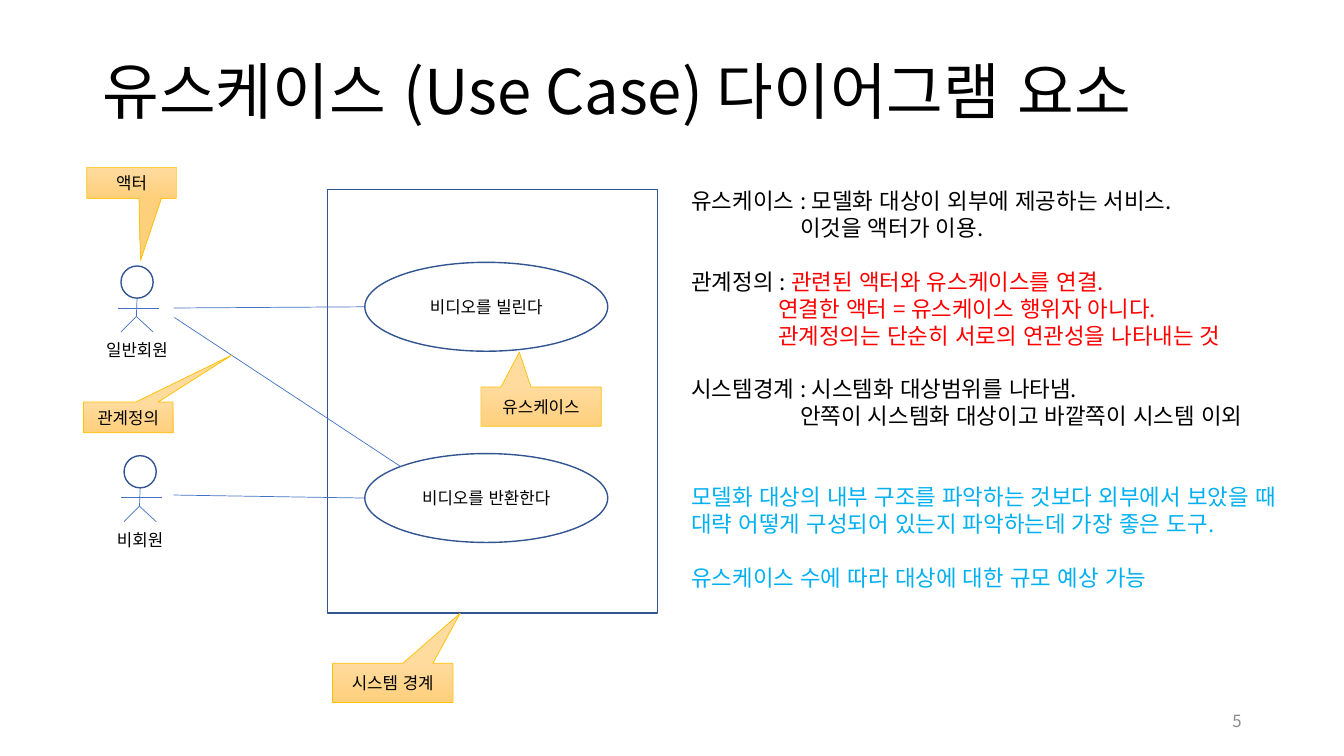
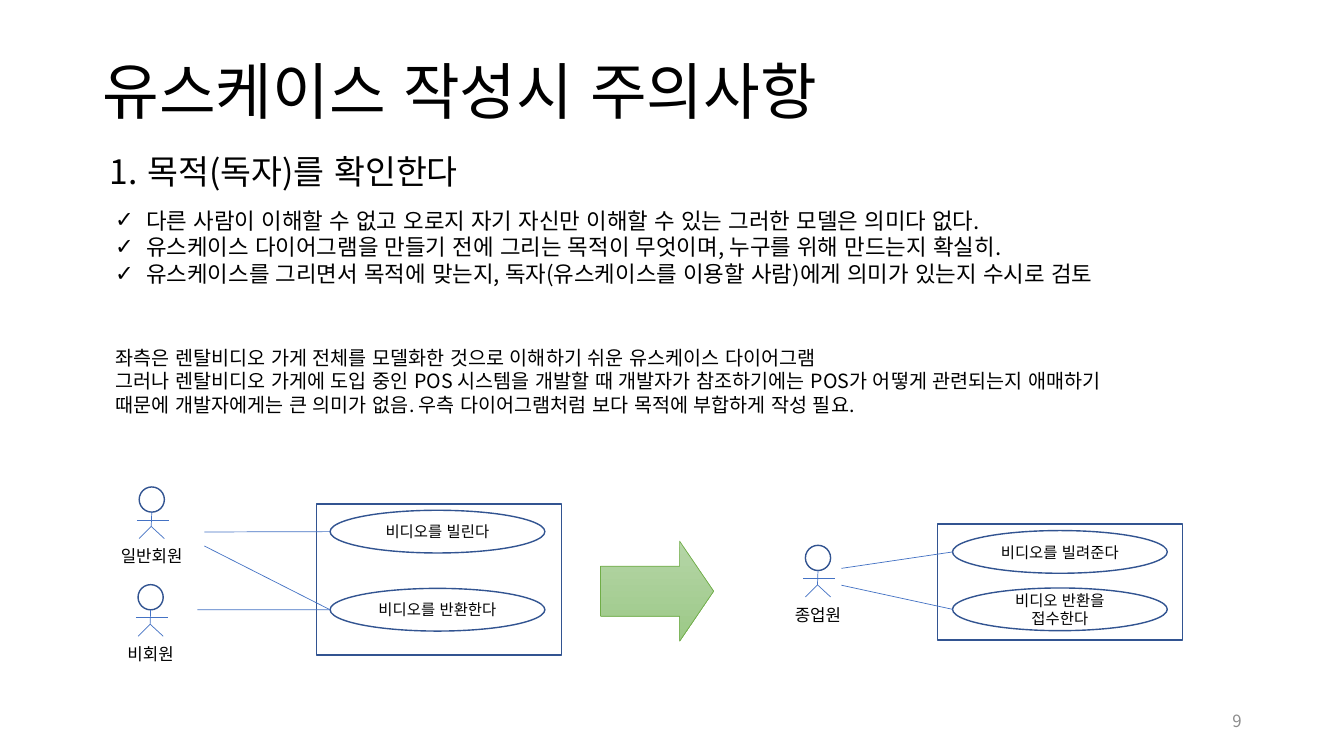
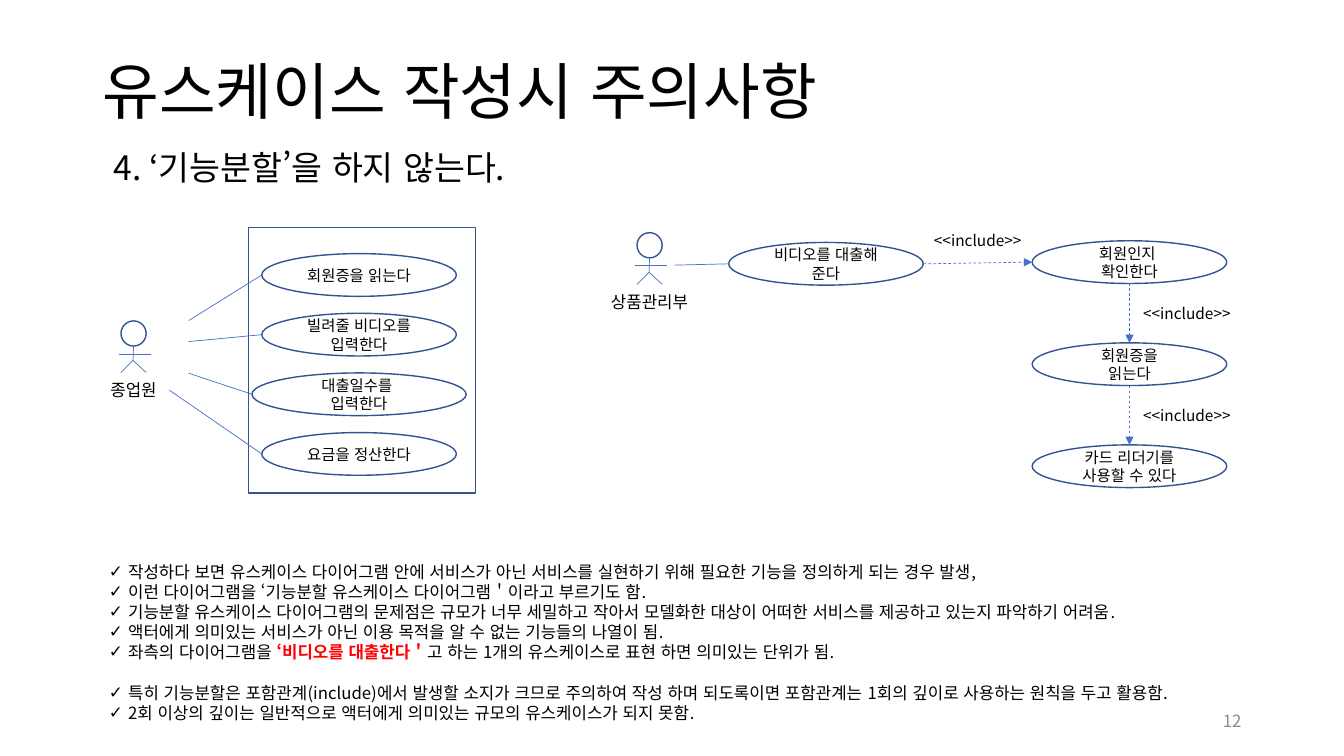
from pptx import Presentation
from pptx.dml.color import RGBColor
from pptx.enum.dml import MSO_LINE as Dash
from pptx.enum.lang import MSO_LANGUAGE_ID as Lang
from pptx.enum.shapes import MSO_CONNECTOR as Conn, MSO_SHAPE as Kind
from pptx.enum.text import MSO_ANCHOR as Anchor, MSO_AUTO_SIZE as Auto, PP_ALIGN as Align
from pptx.oxml.ns import qn
from pptx.util import Pt
from lxml.etree import SubElement

# Shared look
FONT = "Noto Sans CJK KR"
BLACK, RED, SKY, GREY = "000000", "FF0000", "00B0F0", "8C8C8C"
EDGE, LINK = "325491", "4472C4"
AMBER = ("FFDB9E", "FFD07C", "FFC000")
GREEN = ("B5D5A7", "9CC987", "70AD47")
PITCH = 1.2
TITLE = (66, 29, 866, 75.5)
PAGE = (678, 500.5, 216, 29)
# Head width, oval height, oval text size
LARGE, SMALL = (23, 63.5, 12), (18, 30.5, 11)
# Callout sizes
WIDE, SLIM = (86, 28), (64, 22)


def term(name, colour, first, *rest):
    """A defined term: later lines are indented by the length of its name."""
    lines = [([(line, colour)], len(name)) for line in rest]
    return [([(name + " : ", BLACK), (first, colour)], 0)] + lines


# Content. A paragraph is a string or (runs, indent); "" leaves a line of space.
# text: (left, top, width, size, hanging indent, paragraphs), the first is the body
# actors: (name, left, top)         bounds: (left, top, width, height)
# cases: (left, top, step, width, names), a column
# links: (left, top, number of the case, whether it ends at the upper left)
# calls: (text, left, top, size, tip)
CAUTION = "유스케이스 작성시 주의사항"
SLIDES = [
    {
        "title": "유스케이스 (Use Case) 다이어그램 요소", "page": "5", "scale": LARGE,
        "text": [(486.7, 130.3, 456, 16, 0, [
            *term("유스케이스", BLACK, "모델화 대상이 외부에 제공하는 서비스.",
                  "이것을 액터가 이용."),
            "",
            *term("관계정의", RED, "관련된 액터와 유스케이스를 연결.",
                  "연결한 액터 = 유스케이스 행위자 아니다.",
                  "관계정의는 단순히 서로의 연관성을 나타내는 것"),
            "",
            *term("시스템경계", BLACK, "시스템화 대상범위를 나타냄.",
                  "안쪽이 시스템화 대상이고 바깥쪽이 시스템 이외"),
            "", "",
            ([("모델화 대상의 내부 구조를 파악하는 것보다 외부에서 보았을 때 "
               "대략 어떻게 구성되어 있는지 파악하는데 가장 좋은 도구.", SKY)], 0),
            "",
            ([("유스케이스 수에 따라 대상에 대한 규모 예상 가능", SKY)], 0),
        ])],
        "actors": [("일반회원", 86.4, 190), ("비회원", 88.6, 325.5)],
        "bounds": [(234, 135.5, 235.5, 302.5)],
        "cases": [(260.6, 187.4, 136.6, 173.5, ["비디오를 빌린다", "비디오를 반환한다"])],
        "links": [(124, 220, 0, False), (124, 353.6, 1, False), (124.6, 226.8, 1, True)],
        "calls": [("시스템 경계", 237.6, 473.8, WIDE, (0.56, -1.78)),
                  ("유스케이스", 343.5, 276.5, WIDE, (-0.18, -1.39)),
                  ("관계정의", 59.6, 287.2, SLIM, (1.16, -2.03)),
                  ("액터", 62, 119.6, SLIM, (0.1, 2.52))],
    },
    {
        "title": CAUTION, "page": "9", "scale": SMALL,
        "head": ("목적(독자)를 확인한다", 71.3, 104.4, 27),
        "text": [
            (75, 144, 830, 16, 22.3, [
                "다른 사람이 이해할 수 없고 오로지 자기 자신만 이해할 수 있는 그러한 모델은 의미다 없다.",
                "유스케이스 다이어그램을 만들기 전에 그리는 목적이 무엇이며, 누구를 위해 만드는지 확실히.",
                "유스케이스를 그리면서 목적에 맞는지, 독자(유스케이스를 이용할 사람)에게 의미가 있는지 수시로 검토",
            ]),
            (75.6, 243.4, 830, 14, 0, [
                "좌측은 렌탈비디오 가게 전체를 모델화한 것으로 이해하기 쉬운 유스케이스 다이어그램",
                "그러나 렌탈비디오 가게에 도입 중인 POS 시스템을 개발할 때 개발자가 참조하기에는 POS가 어떻게 관련되는지 애매하기",
                "때문에 개발자에게는 큰 의미가 없음. 우측 다이어그램처럼 보다 목적에 부합하게 작성 필요.",
            ]),
        ],
        "actors": [("종업원", 575.3, 389.5), ("일반회원", 99.4, 347.8), ("비회원", 98.6, 417.6)],
        "bounds": [(669.6, 374.4, 175, 82.8), (226, 360, 175, 108)],
        "cases": [(680.4, 379, 41, 153.4, ["비디오를 빌려준다", "비디오 반환을 접수한다"]),
                  (235.8, 364.5, 55.8, 153.4, ["비디오를 빌린다", "비디오를 반환한다"])],
        "links": [(601, 406, 0, False), (601, 418, 1, False), (146, 380, 2, False),
                  (141, 435.6, 3, False), (146, 390, 3, False)],
        "arrow": ((429, 386.6, 80.8, 71.4), (0.5, 0.34)),
    },
    {
        "title": CAUTION, "page": "12", "scale": SMALL,
        "head": ("4. ‘기능분할’을 하지 않는다.", 74.2, 101.5, 0),
        "text": [(70.6, 397.4, 839.5, 12, 13.7, [
            "작성하다 보면 유스케이스 다이어그램 안에 서비스가 아닌 서비스를 실현하기 위해 필요한 기능을 정의하게 되는 경우 발생,",
            "이런 다이어그램을 ‘기능분할 유스케이스 다이어그램＇이라고 부르기도 함.",
            "기능분할 유스케이스 다이어그램의 문제점은 규모가 너무 세밀하고 작아서 모델화한 대상이 "
            "어떠한 서비스를 제공하고 있는지 파악하기 어려움.",
            "액터에게 의미있는 서비스가 아닌 이용 목적을 알 수 없는 기능들의 나열이 됨.",
            ([("좌측의 다이어그램을 ", BLACK), ("‘비디오를 대출한다＇", RED, True),
              ("고 하는 1개의 유스케이스로 표현 하면 의미있는 단위가 됨.", BLACK)], 0),
            "",
            "특히 기능분할은 포함관계(include)에서 발생할 소지가 크므로 주의하여 작성 하며 "
            "되도록이면 포함관계는 1회의 깊이로 사용하는 원칙을 두고 활용함.",
            "2회 이상의 깊이는 일반적으로 액터에게 의미있는 규모의 유스케이스가 되지 못함.",
        ])],
        "actors": [("종업원", 86.4, 229.2), ("상품관리부", 455, 166.2)],
        "bounds": [(177.3, 162.7, 162.5, 189.5)],
        "cases": [(187, 181.2, 42.6, 139, ["회원증을 읽는다", "빌려줄 비디오를 입력한다",
                                          "대출일수를 \n입력한다", "요금을 정산한다"]),
                  (520.5, 173.2, 0, 139, ["비디오를 대출해 준다"]),
                  (737.3, 172, 72.9, 139, ["회원인지 \n확인한다", "회원증을\n읽는다",
                                           "카드 리더기를\n사용할 수 있다"])],
        "broad": "대출일수를 \n입력한다",
        "links": [(134.8, 229, 0, False), (134.8, 244, 1, False), (134.8, 266.6, 2, False),
                  (121, 278.7, 3, False), (481.8, 189.4, 4, False)],
        "chain": 4,
    },
]


def rgb(code):
    return RGBColor.from_string(code)


def pts(nums):
    return [Pt(n) for n in nums]


# Text
def write(frame, paras, size, align=Align.LEFT, mid=False, hang=0, mark="✓", pitch=PITCH):
    frame.word_wrap = True
    frame.auto_size = Auto.NONE
    frame.vertical_anchor = Anchor.MIDDLE if mid else Anchor.TOP
    line, gap, para = size * pitch, 0, None
    for item in paras:
        if not item:
            gap += line
            continue
        runs, indent = ([(item, BLACK)], 0) if isinstance(item, str) else item
        para = frame.add_paragraph() if para else frame.paragraphs[0]
        para.alignment = align
        para.line_spacing = Pt(line)
        para.space_before, para.space_after = Pt(gap), Pt(0)
        gap = 0
        prop = para._p.get_or_add_pPr()
        prop.set("marL", str(Pt(indent * size * 0.97 + hang)))
        prop.set("indent", str(Pt(-hang)))
        if not hang:
            SubElement(prop, qn("a:buNone"))
        elif mark:
            SubElement(prop, qn("a:buChar"), char=mark)
        else:
            SubElement(prop, qn("a:buAutoNum"), type="arabicPeriod")
        for text, colour, *bold in runs:
            run = para.add_run()
            run.text = text
            font = run.font
            font.size, font.bold, font.name = Pt(size), bool(bold), FONT
            font.color.rgb = rgb(colour)
            font.language_id = Lang.KOREAN
            SubElement(run._r.get_or_add_rPr(), qn("a:ea"), typeface=FONT)


def label(shapes, paras, box, size, **opts):
    write(shapes.add_textbox(*pts(box)).text_frame, paras, size, **opts)


def place(holder, box):
    holder.left, holder.top, holder.width, holder.height = pts(box)


# Shapes
def draw(shapes, kind, box, tint=None, adj=(), text="", size=12):
    shape = shapes.add_shape(kind, *pts(box))
    shape.shadow.inherit = False
    for i, val in enumerate(adj):
        shape.adjustments[i] = val
    if tint:
        shape.fill.gradient()
        shape.fill.gradient_angle = 270
        for stop, code in zip(shape.fill.gradient_stops, tint):
            stop.color.rgb = rgb(code)
    else:
        shape.fill.background()
    shape.line.color.rgb = rgb(tint[-1] if tint else EDGE)
    shape.line.width = Pt(0.5 if tint else 1)
    if text:
        write(shape.text_frame, text.split("\n"), size, Align.CENTER, True)


def join(shapes, start, end, flow=False):
    wire = shapes.add_connector(Conn.STRAIGHT, *pts(start + end))
    wire.line.color.rgb = rgb(LINK)
    wire.line.width = Pt(0.5)
    if flow:
        wire.line.dash_style = Dash.DASH
        SubElement(wire.line._get_or_add_ln(), qn("a:tailEnd"), type="triangle")
    SubElement(wire._element.spPr, qn("a:effectLst"))


def spot(box, across, down):
    left, top, wide, high = box
    return left + across * wide, top + down * high


# Body joints, in head widths
HANDS = (-0.09, 1.31), (1.19, 1.31)
NECK, HIP = (0.5, 1), (0.48, 1.57)
FEET = (0, 2.05), (1, 2.05)
LIMBS = [HANDS, (NECK, HIP), *((HIP, foot) for foot in FEET)]


def actor(shapes, name, x, y, head):
    group = shapes.add_group_shape().shapes
    box = (x, y, head, head)
    draw(group, Kind.OVAL, box)
    for start, end in LIMBS:
        join(group, spot(box, *start), spot(box, *end))
    wide = 100
    label(shapes, [name], (x + (head - wide) / 2, y + 2.15 * head, wide, 22), 12,
          align=Align.CENTER)


def include(shapes, here, there):
    wide, high = 82, 20.6
    level = there[0] > here[0]
    start = spot(here, 1, 0.5) if level else spot(here, 0.5, 1)
    end = spot(there, 0, 0.5) if level else spot(there, 0.5, 0)
    join(shapes, start, end, True)
    x, y = [(a + b) / 2 for a, b in zip(start, end)]
    box = (x - wide / 2, y - 26, wide, high) if level else (x, y - high / 2, wide, high)
    label(shapes, ["<<include>>"], box, 11, align=Align.CENTER)


def build(deck, data):
    slide = deck.slides.add_slide(deck.slide_layouts[1])
    shapes = slide.shapes
    title, body = slide.placeholders
    place(title, TITLE)
    write(title.text_frame, [data["title"]], 44, mid=True, pitch=PITCH * 0.9)

    # Lists and notes
    if "head" in data:
        text, x, y, hang = data["head"]
        label(shapes, [text], (x, y, 849, 36), 24, hang=hang, mark=None)
    for i, (x, y, wide, size, hang, paras) in enumerate(data["text"]):
        holder = shapes.add_textbox(0, 0, 0, 0) if i else body
        place(holder, (x, y, wide, size * PITCH * len(paras) + 8))
        write(holder.text_frame, paras, size, hang=hang)

    # Diagram
    head, high, size = data["scale"]
    for box in data["bounds"]:
        draw(shapes, Kind.RECTANGLE, box)
    ovals = []
    for x, y, step, wide, names in data["cases"]:
        for i, name in enumerate(names):
            grow = 7 if name == data.get("broad") else 0
            ovals.append((x - grow, y + i * step, wide + 2 * grow, high))
            draw(shapes, Kind.OVAL, ovals[-1], text=name, size=size)
    for item in data["actors"]:
        actor(shapes, *item, head)
    for x, y, case, upper in data["links"]:
        end = (0.15, 0.15) if upper else (0, 0.5)
        join(shapes, (x, y), spot(ovals[case], *end))
    if "chain" in data:
        chain = ovals[data["chain"]:]
        for here, there in zip(chain, chain[1:]):
            include(shapes, here, there)
    for text, x, y, area, tip in data.get("calls", []):
        draw(shapes, Kind.RECTANGULAR_CALLOUT, (x, y, *area), AMBER, tip, text)
    if "arrow" in data:
        box, adj = data["arrow"]
        draw(shapes, Kind.RIGHT_ARROW, box, GREEN, adj)

    label(shapes, [([(data["page"], GREY)], 0)], PAGE, 12, align=Align.RIGHT, mid=True)


def main():
    deck = Presentation()
    deck.slide_width, deck.slide_height = Pt(960), Pt(540)
    for data in SLIDES:
        build(deck, data)
    deck.save("out.pptx")


if __name__ == "__main__":
    main()
